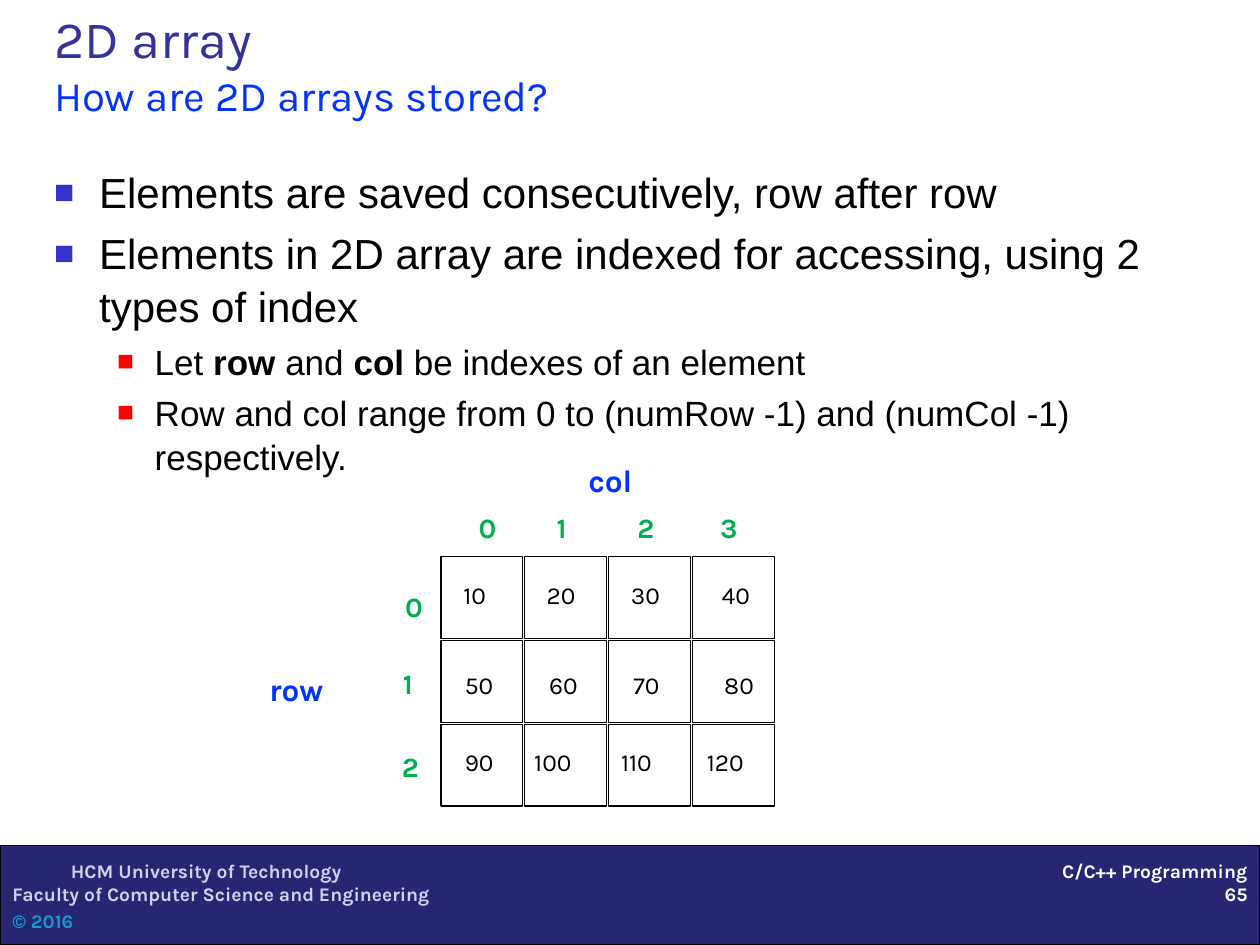
from dataclasses import dataclass

from lxml import etree
from pptx import Presentation
from pptx.dml.color import RGBColor
from pptx.enum.shapes import MSO_SHAPE
from pptx.enum.text import MSO_ANCHOR, PP_ALIGN
from pptx.oxml.ns import qn
from pptx.util import Cm, Pt

BLACK = RGBColor(0x00, 0x00, 0x00)
WHITE = RGBColor(0xFF, 0xFF, 0xFF)
NAVY = RGBColor(0x26, 0x26, 0x73)
INDIGO = RGBColor(0x33, 0x33, 0x99)
VIOLET = RGBColor(0x33, 0x33, 0xCC)
BLUE = RGBColor(0x04, 0x32, 0xFF)
LAVENDER = RGBColor(0xD1, 0xD1, 0xF0)
CYAN = RGBColor(0x19, 0x9A, 0xCC)
GREEN = RGBColor(0x00, 0xB0, 0x50)
RED = RGBColor(0xFF, 0x00, 0x00)

GRID_LEFT, GRID_TOP, CELL, PITCH = 8.89, 11.22, 1.65, 1.69


@dataclass
class Label:
    text: str
    left: float
    top: float
    width: float
    height: float
    size: int
    color: RGBColor
    bold: bool = True


@dataclass
class BulletStyle:
    level: int
    indent: float
    hanging: float
    before: float
    size: int
    color: RGBColor


MAIN = BulletStyle(0, 0.91, 0.91, 4.9, 24, VIOLET)
SUB = BulletStyle(1, 2.03, 0.76, 4, 20, RED)

# Each bullet is a style and its runs; the flag marks bold runs.
BULLETS = [
    (MAIN, [("Elements are saved consecutively, row after row", False)]),
    (MAIN, [("Elements in 2D array are indexed for accessing, using 2 types of index", False)]),
    (SUB, [("Let ", False), ("row", True), (" and ", False), ("col", True),
           (" be indexes of an element", False)]),
    (SUB, [("Row and col range from 0 to (numRow -1) and (numCol -1) respectively.", False)]),
]

# Each array row: top of its numbers, then (value, left) pairs.
ARRAY_ROWS = [
    (11.56, [(10, 9.09), (20, 10.77), (30, 12.47), (40, 14.3)]),
    (13.39, [(50, 9.12), (60, 10.82), (70, 12.52), (80, 14.35)]),
    (14.94, [(90, 9.12), (100, 10.52), (110, 12.27), (120, 14.0)]),
]
ROW_INDEXES = [(7.92, 11.76), (7.87, 13.31), (7.85, 14.99)]
COL_INDEX_LEFTS = [9.4, 10.97, 12.6, 14.27]
AXES = [
    Label("row", 5.18, 13.39, 1.83, 1.02, 18, BLUE),
    Label("col", 11.61, 9.17, 1.52, 1.02, 18, BLUE),
]


def add_frame(slide, left: float, top: float, width: float, height: float, wrap: bool = True):
    box = slide.shapes.add_textbox(Cm(left), Cm(top), Cm(width), Cm(height))
    box.text_frame.word_wrap = wrap
    return box.text_frame


def add_run(paragraph, text: str, size: int, color: RGBColor,
            bold: bool = False, font: str = "Karla") -> None:
    run = paragraph.add_run()
    run.text = text
    run.font.name = font
    run.font.size = Pt(size)
    run.font.bold = bold
    run.font.color.rgb = color


def next_paragraph(frame, index: int):
    return frame.add_paragraph() if index else frame.paragraphs[0]


def add_rectangle(slide, left: float, top: float, width: float, height: float,
                  fill: RGBColor) -> None:
    rectangle = slide.shapes.add_shape(
        MSO_SHAPE.RECTANGLE, Cm(left), Cm(top), Cm(width), Cm(height))
    rectangle.shadow.inherit = False
    rectangle.fill.solid()
    rectangle.fill.fore_color.rgb = fill
    rectangle.line.color.rgb = BLACK
    rectangle.line.width = Pt(0.75)


def add_label(slide, label: Label) -> None:
    frame = add_frame(slide, label.left, label.top, label.width, label.height, wrap=False)
    add_run(frame.paragraphs[0], label.text, label.size, label.color, label.bold)


def set_bullet(paragraph, style: BulletStyle) -> None:
    paragraph.level = style.level
    properties = paragraph._p.get_or_add_pPr()
    properties.set("marL", str(Cm(style.indent)))
    properties.set("indent", str(-Cm(style.hanging)))
    color = etree.SubElement(properties, qn("a:buClr"))
    etree.SubElement(color, qn("a:srgbClr"), val=str(style.color))
    etree.SubElement(properties, qn("a:buSzPct"), val="80000")
    etree.SubElement(properties, qn("a:buFont"), typeface="Arial")
    etree.SubElement(properties, qn("a:buChar"), char="■")


def add_footer(slide) -> None:
    add_rectangle(slide, 0, 17.04, 25.4, 2.01, NAVY)
    school = add_frame(slide, 0, 17.2, 11.1, 1.73)
    lines = [("HCM University of Technology", LAVENDER),
             ("Faculty of Computer Science and Engineering", LAVENDER),
             ("© 2016", CYAN)]
    for index, (text, color) in enumerate(lines):
        add_run(next_paragraph(school, index), text, 11, color, bold=True)
    school.paragraphs[0]._p.get_or_add_pPr().set("marL", str(Cm(1.18)))
    school.paragraphs[2].space_before = Pt(2.2)

    course = add_frame(slide, 10.59, 17.2, 14.81, 1.19)
    for index, text in enumerate(["C/C++ Programming", "65"]):
        paragraph = next_paragraph(course, index)
        paragraph.alignment = PP_ALIGN.RIGHT
        add_run(paragraph, text, 11, WHITE, bold=True)


def add_title(slide) -> None:
    frame = add_frame(slide, 0.84, 0.2, 23.93, 2.34)
    frame.vertical_anchor = MSO_ANCHOR.BOTTOM
    heading = frame.paragraphs[0]
    add_run(heading, "2D array", 30, INDIGO)
    heading.add_line_break()
    add_run(heading, "How are 2D arrays stored?", 24, BLUE)


def add_bullets(slide) -> None:
    frame = add_frame(slide, 0.84, 3.18, 23.93, 13.77)
    for index, (style, runs) in enumerate(BULLETS):
        paragraph = next_paragraph(frame, index)
        set_bullet(paragraph, style)
        paragraph.line_spacing = 1.05
        if index:
            paragraph.space_before = Pt(style.before)
        for text, bold in runs:
            add_run(paragraph, text, style.size, BLACK, bold, "Arial")


def add_array(slide) -> None:
    for row, (_, numbers) in enumerate(ARRAY_ROWS):
        for col in range(len(numbers)):
            add_rectangle(slide, GRID_LEFT + col * PITCH, GRID_TOP + row * PITCH,
                          CELL, CELL, WHITE)
    for top, numbers in ARRAY_ROWS:
        for value, left in numbers:
            width = 1.45 if value >= 100 else 1.12
            add_label(slide, Label(str(value), left, top, width, 0.84, 14, BLACK, False))
    index_places = [ROW_INDEXES, [(left, 10.16) for left in COL_INDEX_LEFTS]]
    for places in index_places:
        for index, (left, top) in enumerate(places):
            add_label(slide, Label(str(index), left, top, 0.89, 0.91, 16, GREEN))
    for axis in AXES:
        add_label(slide, axis)


def main() -> None:
    deck = Presentation()
    deck.slide_width, deck.slide_height = Cm(25.4), Cm(19.05)
    slide = deck.slides.add_slide(deck.slide_layouts[6])
    add_footer(slide)
    add_title(slide)
    add_bullets(slide)
    add_array(slide)
    deck.save("out.pptx")


if __name__ == "__main__":
    main()
